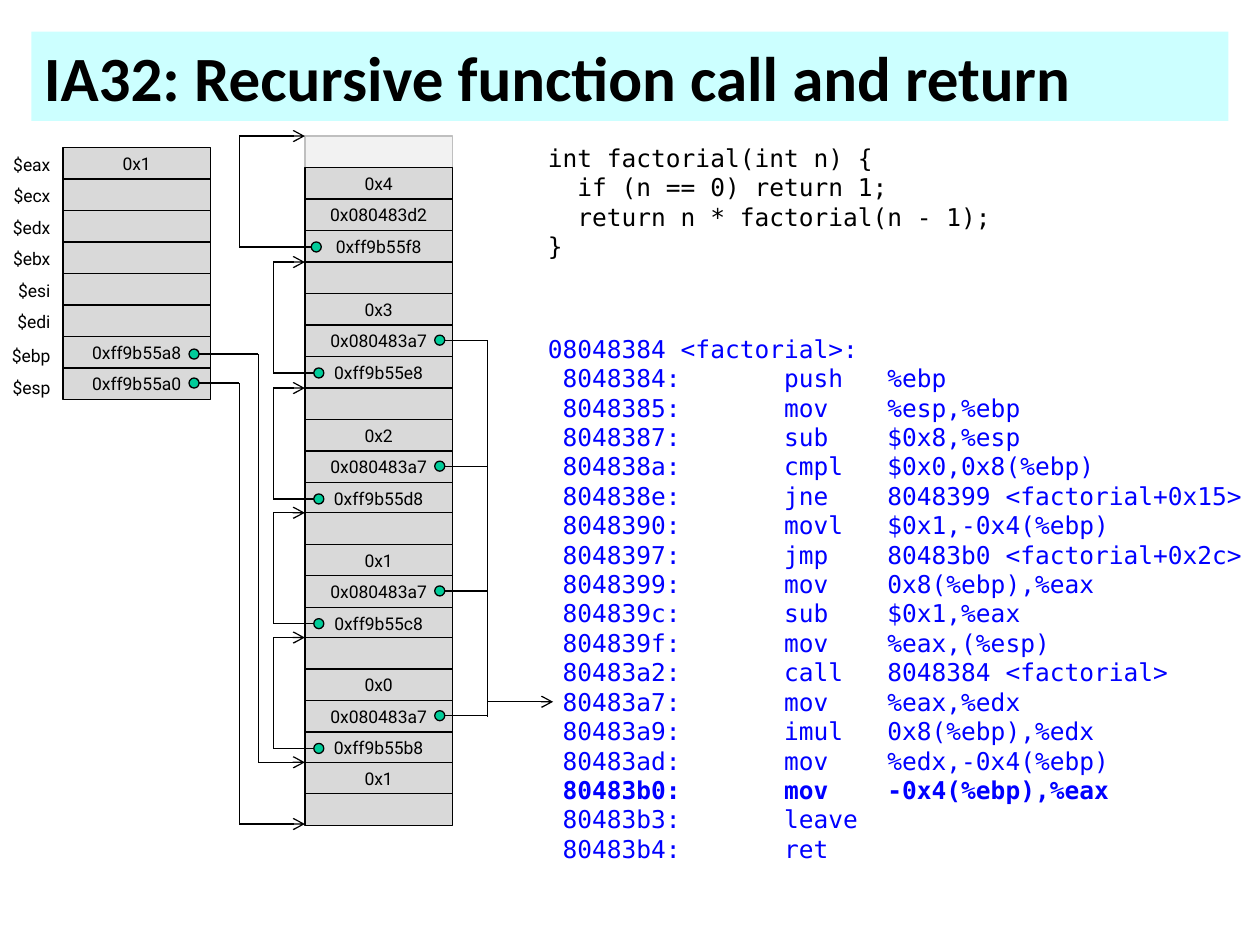
from lxml import etree
from pptx import Presentation
from pptx.dml.color import RGBColor
from pptx.enum.shapes import MSO_CONNECTOR, MSO_SHAPE
from pptx.enum.text import MSO_ANCHOR, PP_ALIGN
from pptx.oxml.ns import qn
from pptx.util import Inches, Pt

RECTANGLE, OVAL, STRAIGHT = MSO_SHAPE.RECTANGLE, MSO_SHAPE.OVAL, MSO_CONNECTOR.STRAIGHT
LEFT, CENTER, RIGHT = PP_ALIGN.LEFT, PP_ALIGN.CENTER, PP_ALIGN.RIGHT
MIDDLE = MSO_ANCHOR.MIDDLE

COLORS = {"title": "CCFFFF", "cell": "D9D9D9", "unused": "F2F2F2", "unused_line": "BFBFBF",
          "dot": "00CC99", "ink": "000000", "assembly": "0000FF"}
TITLE = {"name": "Calibri", "size": Pt(36), "bold": True}
LABEL = {"name": "Roboto", "size": Pt(10)}
CODE = {"name": "DejaVu Sans Mono", "size": Pt(14)}

ROW, CELL_WIDTH, DOT = 0.25, 1.17, 0.08
REGISTER_LEFT, REGISTER_TOP = 0.5, 1.17
STACK_LEFT = 2.42
ESP_RAIL, EBP_RAIL, FRAME_RAIL, RETURN_RAIL = 1.9, 2.05, 2.17, 3.87

REGISTERS = {"$eax": "0x1", "$ecx": "", "$edx": "", "$ebx": "", "$esi": "", "$edi": "",
             "$ebp": "0xff9b55a8", "$esp": "0xff9b55a0"}
# Top of each frame, then its padding, argument, return address and saved %ebp
FRAMES = [
    (1.08, ["", "0x4", "0x080483d2", "0xff9b55f8"]),
    (2.08, ["", "0x3", "0x080483a7", "0xff9b55e8"]),
    (3.08, ["", "0x2", "0x080483a7", "0xff9b55d8"]),
    (4.07, ["", "0x1", "0x080483a7", "0xff9b55c8"]),
    (5.06, ["", "0x0", "0x080483a7", "0xff9b55b8"]),
    (6.05, ["0x1", ""]),
]
SOURCE = """int factorial(int n) {
  if (n == 0) return 1;
  return n * factorial(n - 1);
}"""
ASSEMBLY = """08048384 <factorial>:
 8048384:       push   %ebp
 8048385:       mov    %esp,%ebp
 8048387:       sub    $0x8,%esp
 804838a:       cmpl   $0x0,0x8(%ebp)
 804838e:       jne    8048399 <factorial+0x15>
 8048390:       movl   $0x1,-0x4(%ebp)
 8048397:       jmp    80483b0 <factorial+0x2c>
 8048399:       mov    0x8(%ebp),%eax
 804839c:       sub    $0x1,%eax
 804839f:       mov    %eax,(%esp)
 80483a2:       call   8048384 <factorial>
 80483a7:       mov    %eax,%edx
 80483a9:       imul   0x8(%ebp),%edx
 80483ad:       mov    %edx,-0x4(%ebp)
 80483b0:       mov    -0x4(%ebp),%eax
 80483b3:       leave
 80483b4:       ret"""
CURRENT_INSTRUCTION = "80483b0:"

presentation = Presentation()
presentation.slide_width, presentation.slide_height = Inches(10), Inches(7.5)
slide = presentation.slides.add_slide(presentation.slide_layouts[6])


def add_box(box, text="", font=LABEL, color="ink", align=CENTER, fill=None, line=None,
            margins=(0.1, 0.05), kind=RECTANGLE):
    """Add a filled shape, or a text box when fill is None; margins are (sides, top and bottom)."""
    place = [Inches(value) for value in box]
    if fill is None:
        shape = slide.shapes.add_textbox(*place)
    else:
        shape = slide.shapes.add_shape(kind, *place)
        shape.shadow.inherit = False
        shape.fill.solid()
        shape.fill.fore_color.rgb = RGBColor.from_string(COLORS[fill])
        if line is None:
            shape.line.fill.background()
        else:
            shape.line.color.rgb = RGBColor.from_string(COLORS[line])
            shape.line.width = Pt(0.75)
    if not text:
        return
    frame = shape.text_frame
    sides, ends = (Inches(value) for value in margins)
    settings = {"word_wrap": True, "vertical_anchor": MIDDLE, "margin_left": sides,
                "margin_right": sides, "margin_top": ends, "margin_bottom": ends}
    for name, value in settings.items():
        setattr(frame, name, value)
    for index, text_line in enumerate(text.split("\n")):
        paragraph = frame.paragraphs[0] if index == 0 else frame.add_paragraph()
        paragraph.alignment = align
        run = paragraph.add_run()
        run.text = text_line
        run.font.color.rgb = RGBColor.from_string(COLORS[color])
        for name, value in font.items():
            setattr(run.font, name, value)
        if CURRENT_INSTRUCTION in text_line:
            run.font.bold = True


def add_path(*points, arrow=False):
    """Join the points with straight lines; arrow puts a head on the last one."""
    for start, end in zip(points, points[1:]):
        line = slide.shapes.add_connector(STRAIGHT, *[Inches(value) for value in start + end])
        line.line.color.rgb = RGBColor.from_string(COLORS["ink"])
        line.line.width = Pt(0.75)
        properties = line._element.spPr
        if arrow and end == points[-1]:
            etree.SubElement(properties.find(qn("a:ln")), qn("a:tailEnd"), type="arrow")
        etree.SubElement(properties, qn("a:effectLst"))


# Title and code
add_box((0.25, 0.25, 9.5, 0.71), "IA32: Recursive function call and return", TITLE,
        align=LEFT, fill="title")
add_box((4.25, 2.58, 5.75, 4.34), ASSEMBLY, CODE, "assembly", LEFT)
add_box((4.25, 1.08, 5.75, 1.04), SOURCE, CODE, align=LEFT)

# Registers
for row, (register, value) in enumerate(REGISTERS.items()):
    top = REGISTER_TOP + row * ROW
    add_box((REGISTER_LEFT, top, CELL_WIDTH, ROW), value, fill="cell", line="ink", margins=(0, 0))
    label_top = top + 0.02 if register in ("$ebp", "$esp") else top
    add_box((0, label_top, 0.4, 0.27), register, align=RIGHT, margins=(0, 0.05))

# Stack
for frame_index, (frame_top, values) in enumerate(FRAMES):
    for row, value in enumerate(values):
        unused = frame_index == row == 0
        add_box((STACK_LEFT, frame_top + row * ROW, CELL_WIDTH, ROW), value,
                fill="unused" if unused else "cell",
                line="unused_line" if unused else "ink", margins=(0, 0))

# Register pointers
dots = [(1.54, 2.81), (1.54, 3.04)]
for dot, rail, target in zip(dots, (EBP_RAIL, ESP_RAIL), (6.05, 6.54)):
    add_path(dot, (rail, dot[1]), (rail, target), (STACK_LEFT, target), arrow=True)

# Saved base pointers and return addresses
for frame_index, (frame_top, values) in enumerate(FRAMES[:-1]):
    saved_dot = (2.51 if frame_index == 0 else 2.53, frame_top + 0.88)
    rail = ESP_RAIL if frame_index == 0 else FRAME_RAIL
    add_path(saved_dot, (rail, saved_dot[1]), (rail, frame_top), (STACK_LEFT, frame_top),
             arrow=True)
    dots.append(saved_dot)
    if frame_index > 0:
        return_dot = (3.49, frame_top + 0.62)
        add_path(return_dot, (RETURN_RAIL, return_dot[1]))
        dots.append(return_dot)
add_path((RETURN_RAIL, 2.7), (RETURN_RAIL, 5.69))
add_path((RETURN_RAIL, 5.57), (4.39, 5.57), arrow=True)

for x, y in dots:
    add_box((x - DOT / 2, y - DOT / 2, DOT, DOT), fill="dot", line="ink", kind=OVAL)

presentation.save("out.pptx")
